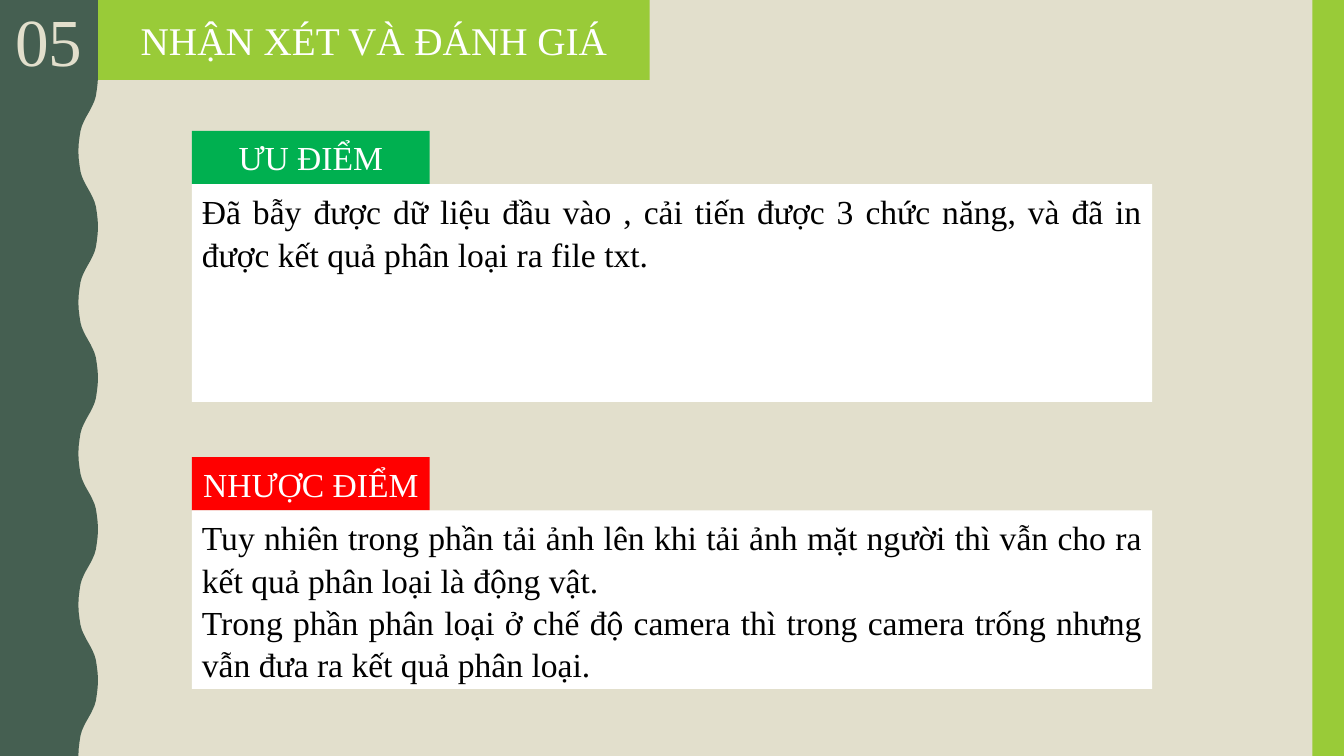
from lxml import etree
from pptx import Presentation
from pptx.dml.color import RGBColor
from pptx.enum.shapes import MSO_SHAPE
from pptx.enum.text import MSO_ANCHOR, MSO_AUTO_SIZE, PP_ALIGN
from pptx.oxml.ns import qn
from pptx.util import Pt

RECTANGLE = MSO_SHAPE.RECTANGLE
TOP, MIDDLE = MSO_ANCHOR.TOP, MSO_ANCHOR.MIDDLE
CENTER, JUSTIFY = PP_ALIGN.CENTER, PP_ALIGN.JUSTIFY
NO_AUTOFIT = MSO_AUTO_SIZE.NONE

SAND = RGBColor(0xE2, 0xDF, 0xCC)
FOREST = RGBColor(0x45, 0x5F, 0x51)
LIME = RGBColor(0x99, 0xCB, 0x38)
GREEN = RGBColor(0x00, 0xB0, 0x50)
RED = RGBColor(0xFF, 0x00, 0x00)
WHITE = RGBColor(0xFF, 0xFF, 0xFF)
BLACK = RGBColor(0x00, 0x00, 0x00)

FONT = "Times New Roman"
PAGE_WIDTH, PAGE_HEIGHT = 960, 540
COMPARISON_LAYOUT = 4
HEADER_HEIGHT = 57

# Wavy edge: offsets (down, right) from a trough to halfway up the next crest
WAVE_LEFT, WAVE_RIGHT, HALF_WAVE = 56, 70, 54
QUARTER_WAVE = [(0, 0), (5, 0.2), (10, 0.8), (14.5, 1.5),
                (18, 2.5), (21, 3.8), (24, 5.3), (27, 7)]

STRENGTHS = ["Đã bẫy được dữ liệu đầu vào , cải tiến được 3 chức năng, "
             "và đã in được kết quả phân loại ra file txt."]
WEAKNESSES = ["Tuy nhiên trong phần tải ảnh lên khi tải ảnh mặt người thì "
              "vẫn cho ra kết quả phân loại là động vật.",
              "Trong phần phân loại ở chế độ camera thì trong camera trống "
              "nhưng vẫn đưa ra kết quả phân loại."]


def set_all(target, values):
    for name, value in values.items():
        setattr(target, name, value)


def place(shape, box):
    names = ("left", "top", "width", "height")
    set_all(shape, {name: Pt(length) for name, length in zip(names, box)})


def paint(shape, color):
    shape.fill.solid()
    shape.fill.fore_color.rgb = color
    shape.line.fill.background()


def write(shape, texts, size, color, align=CENTER, anchor=MIDDLE, spacing=1.0):
    frame = shape.text_frame
    set_all(frame, {"word_wrap": True, "auto_size": NO_AUTOFIT,
                    "vertical_anchor": anchor})
    for index, text in enumerate(texts):
        para = frame.add_paragraph() if index else frame.paragraphs[0]
        set_all(para, {"alignment": align, "line_spacing": spacing,
                       "space_before": Pt(0), "space_after": Pt(0)})
        properties = para._p.get_or_add_pPr()
        properties.set("marL", "0")
        properties.set("indent", "0")
        etree.SubElement(properties, qn("a:buNone"))
        span = para.add_run()
        span.text = text
        set_all(span.font, {"name": FONT, "size": Pt(size), "bold": False})
        span.font.color.rgb = color


def add_rectangle(page, box, color):
    shape = page.shapes.add_shape(RECTANGLE, *(Pt(length) for length in box))
    shape.shadow.inherit = False
    paint(shape, color)
    return shape


def add_wave(page, box):
    left, top, _, height = box
    half = QUARTER_WAVE + [(HALF_WAVE - down, WAVE_RIGHT - WAVE_LEFT - right)
                           for down, right in QUARTER_WAVE[-2::-1]]
    points = [(left, top)]
    for number in range(height // HALF_WAVE):
        for down, right in half:
            edge = WAVE_RIGHT - right if number % 2 else WAVE_LEFT + right
            points.append((left + edge, top + number * HALF_WAVE + down))
    points.append((left, top + height))
    points = [(Pt(x), Pt(y)) for x, y in points]
    builder = page.shapes.build_freeform(*points[0])
    builder.add_line_segments(points[1:], close=True)
    wave = builder.convert_to_shape()
    wave.shadow.inherit = False
    paint(wave, FOREST)


def add_header(page, box):
    left, top, width, height = box
    number = add_rectangle(page, (left, top, WAVE_RIGHT, height), FOREST)
    write(number, ["05"], 48, SAND)
    title = page.shapes.title
    place(title, (left + WAVE_RIGHT, top, width - WAVE_RIGHT, height))
    paint(title, LIME)
    write(title, ["NHẬN XÉT VÀ ĐÁNH GIÁ"], 28, WHITE)


def fill_section(label, body, box, heading, texts, color):
    left, top, width, height = box
    label_width, label_height = 170, 38
    place(label, (left, top, label_width, label_height))
    paint(label, color)
    write(label, [heading], 24, WHITE)
    place(body, (left, top + label_height, width, height - label_height))
    paint(body, WHITE)
    write(body, texts, 24, BLACK, JUSTIFY, TOP, 1.05)


def build_page(deck):
    page = deck.slides.add_slide(deck.slide_layouts[COMPARISON_LAYOUT])
    page.background.fill.solid()
    page.background.fill.fore_color.rgb = SAND

    # Side decoration
    add_wave(page, (0, 0, WAVE_RIGHT, PAGE_HEIGHT))
    add_rectangle(page, (PAGE_WIDTH - 22.5, 0, 22.5, PAGE_HEIGHT), LIME)

    # Section number and title
    add_header(page, (0, 0, 464, HEADER_HEIGHT))

    # Strengths and weaknesses
    _, label_1, body_1, label_2, body_2 = page.placeholders
    fill_section(label_1, body_1, (137, 93.5, 686, 193.5),
                 "ƯU ĐIỂM", STRENGTHS, GREEN)
    fill_section(label_2, body_2, (137, 326.5, 686, 165.5),
                 "NHƯỢC ĐIỂM", WEAKNESSES, RED)


def main():
    deck = Presentation()
    deck.slide_width, deck.slide_height = Pt(PAGE_WIDTH), Pt(PAGE_HEIGHT)
    build_page(deck)
    deck.save("out.pptx")


if __name__ == "__main__":
    main()
